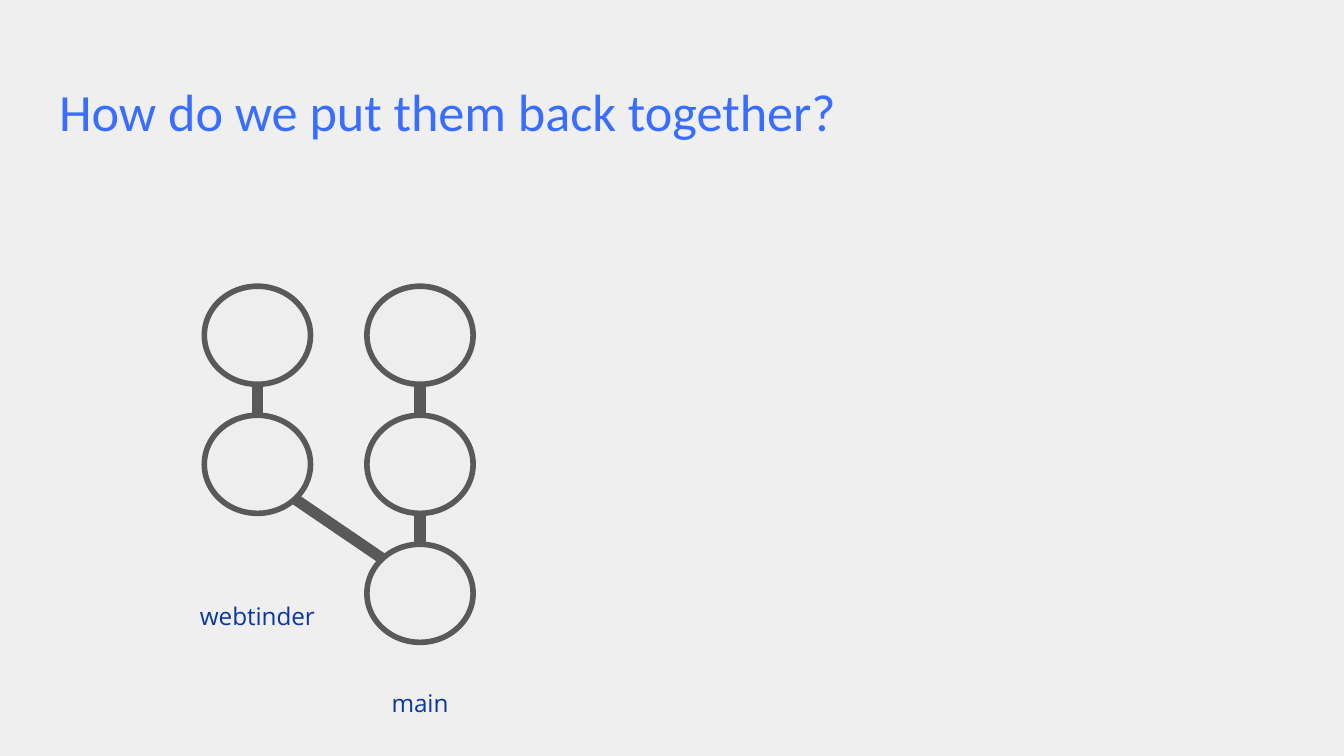
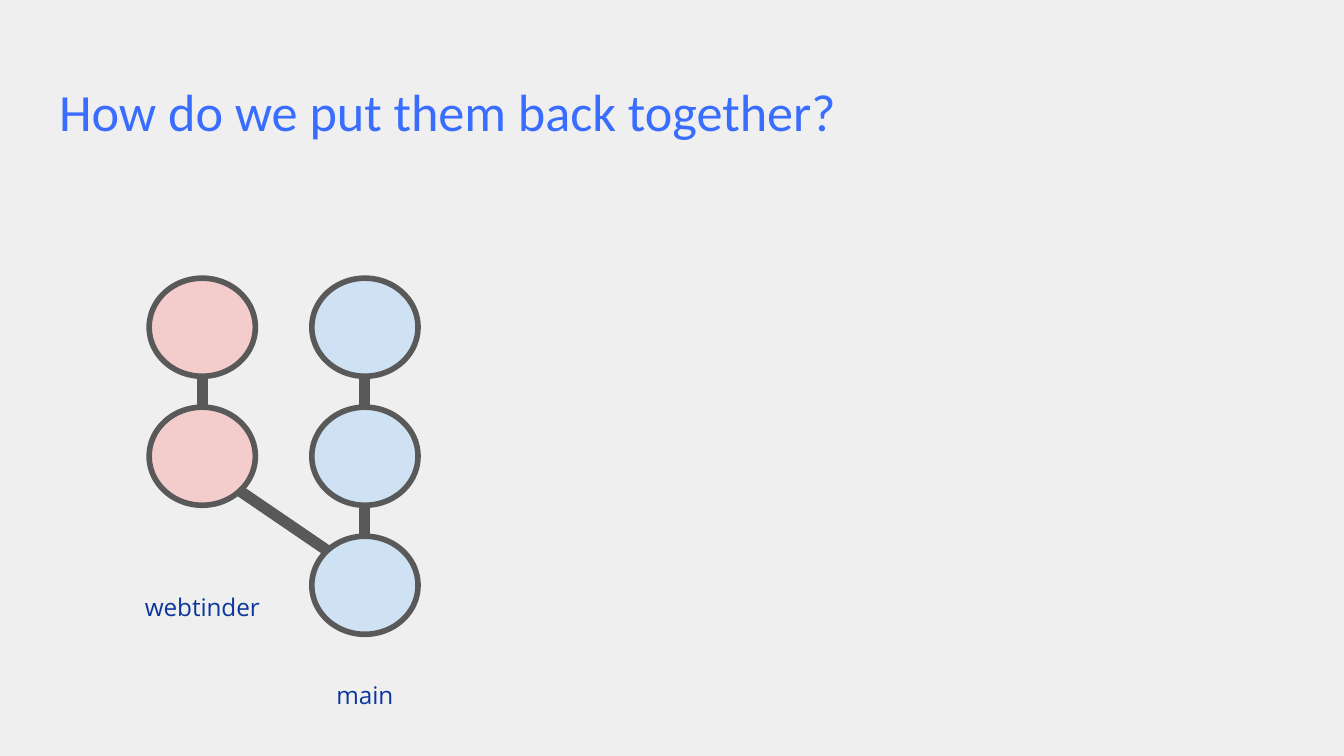
from math import cos, pi, sin

from lxml.etree import SubElement
from pptx import Presentation
from pptx.dml.color import RGBColor
from pptx.enum.shapes import MSO_CONNECTOR as Connector, MSO_SHAPE as Shape
from pptx.enum.text import MSO_ANCHOR as Anchor, MSO_AUTO_SIZE as AutoSize, PP_ALIGN as Align
from pptx.oxml.ns import qn
from pptx.util import Inches, Pt

BACKGROUND = RGBColor(0xEF, 0xEF, 0xEF)
TITLE_BLUE = RGBColor(0x39, 0x6D, 0xFF)
LABEL_BLUE = RGBColor(0x0A, 0x36, 0x9D)
LINE_GRAY = RGBColor(0x59, 0x59, 0x59)
NEUTRAL = RGBColor(0xEE, 0xEE, 0xEE)
PINK = RGBColor(0xF4, 0xCC, 0xCC)
SKY = RGBColor(0xCF, 0xE2, 0xF3)

SLIDE_WIDTH = 10
SLIDE_HEIGHT = SLIDE_WIDTH * 9 / 16
TITLE_BOX = (0.34, 0.49, 9.32, 0.63)
TITLE = "How do we put them back together?"
NODE_WIDTH, NODE_HEIGHT = 0.79, 0.73
COLUMN_STEP, ROW_STEP = 1.21, 0.96
LABEL_WIDTH, LABEL_HEIGHT = 1.24, 0.42
WEBTINDER, MAIN = 0, 1
COMMITS = {WEBTINDER: 2, MAIN: 3}
LABELS = {WEBTINDER: ("webtinder", 2.24), MAIN: ("main", 2.89)}
GRAPHS = [
    ((1.52, 2.13), {WEBTINDER: NEUTRAL, MAIN: NEUTRAL}),
    ((1.11, 2.07), {WEBTINDER: PINK, MAIN: SKY}),
]


def write_text(shape, text, font_name, size, color, align):
    """Fill a shape with one formatted line of text."""
    frame = shape.text_frame
    frame.text = text
    frame.word_wrap = True
    frame.vertical_anchor = Anchor.TOP
    frame.margin_left = frame.margin_right = Inches(0.1)
    frame.margin_top = frame.margin_bottom = Inches(0.1)
    paragraph = frame.paragraphs[0]
    paragraph.alignment = align
    font = paragraph.runs[0].font
    font.name, font.size = font_name, Pt(size)
    font.color.rgb = color


def add_title(slide):
    """Place the title in its placeholder."""
    title = slide.shapes.title
    title.left, title.top, title.width, title.height = map(Inches, TITLE_BOX)
    write_text(title, TITLE, "Calibri", 28, TITLE_BLUE, Align.LEFT)
    title.text_frame.auto_size = AutoSize.NONE


def node_point(origin, column, row, angle):
    """Return the point of a commit's outline at an angle, clockwise from the right."""
    left, top = origin
    return (
        left + column * COLUMN_STEP + NODE_WIDTH / 2 * (1 + cos(angle)),
        top + row * ROW_STEP + NODE_HEIGHT / 2 * (1 + sin(angle)),
    )


def add_link(slide, start, end):
    """Draw a thick line between two points."""
    link = slide.shapes.add_connector(Connector.STRAIGHT, *map(Inches, start + end))
    link.line.color.rgb = LINE_GRAY
    link.line.width = Pt(6)
    SubElement(link._element.spPr, qn("a:effectLst"))


def add_node(slide, origin, column, row, color):
    """Draw one commit on the grid."""
    left, top = origin
    node = slide.shapes.add_shape(
        Shape.OVAL,
        Inches(left + column * COLUMN_STEP),
        Inches(top + row * ROW_STEP),
        Inches(NODE_WIDTH),
        Inches(NODE_HEIGHT),
    )
    node.shadow.inherit = False
    node.fill.solid()
    node.fill.fore_color.rgb = color
    node.line.color.rgb = LINE_GRAY
    node.line.width = Pt(3)


def add_label(slide, origin, column, text, drop):
    """Centre a branch name under its column."""
    left, top = origin
    label = slide.shapes.add_textbox(
        Inches(left + column * COLUMN_STEP + (NODE_WIDTH - LABEL_WIDTH) / 2),
        Inches(top + drop),
        Inches(LABEL_WIDTH),
        Inches(LABEL_HEIGHT),
    )
    write_text(label, text, "Open Sans", 13, LABEL_BLUE, Align.CENTER)
    label.text_frame.auto_size = AutoSize.SHAPE_TO_FIT_TEXT


def add_graph(slide, origin, colors):
    """Draw both branches with their links and names."""
    up, down = -pi / 2, pi / 2
    add_link(slide, node_point(origin, MAIN, 1, up), node_point(origin, MAIN, 2, down))
    for column, count in COMMITS.items():
        for row in range(count):
            add_node(slide, origin, column, row, colors[column])
    add_link(
        slide,
        node_point(origin, WEBTINDER, 1, pi / 4),
        node_point(origin, MAIN, 2, -3 * pi / 4),
    )
    for column, (text, drop) in LABELS.items():
        add_label(slide, origin, column, text, drop)
        add_link(slide, node_point(origin, column, 0, down), node_point(origin, column, 1, up))


def main():
    """Build and save the presentation."""
    presentation = Presentation()
    presentation.slide_width = Inches(SLIDE_WIDTH)
    presentation.slide_height = Inches(SLIDE_HEIGHT)
    background = presentation.slide_master.background.fill
    background.solid()
    background.fore_color.rgb = BACKGROUND
    for origin, colors in GRAPHS:
        slide = presentation.slides.add_slide(presentation.slide_layouts[5])
        add_title(slide)
        add_graph(slide, origin, colors)
    presentation.save("out.pptx")


if __name__ == "__main__":
    main()
